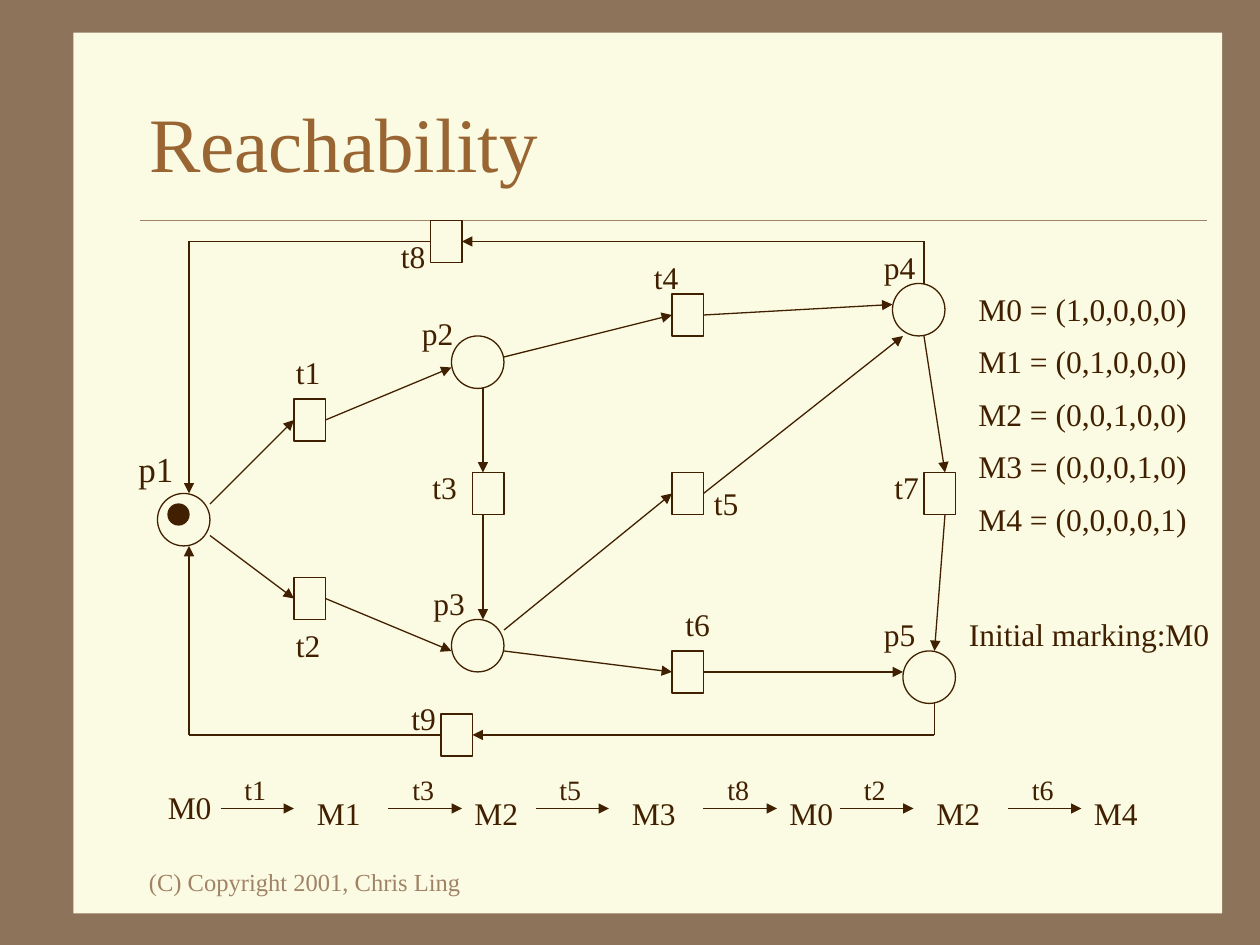
from pptx import Presentation
from pptx.dml.color import RGBColor
from pptx.enum.shapes import MSO_CONNECTOR, MSO_SHAPE
from pptx.enum.text import MSO_ANCHOR, MSO_AUTO_SIZE, PP_ALIGN
from pptx.oxml.ns import qn
from pptx.util import Pt
from lxml.etree import SubElement

PX = 7620  # 120 px to the inch
FONT = "Times New Roman"
PAPER, INK, TAN = "FBFAE2", "402000", "A08366"
rgb = RGBColor.from_string

prs = Presentation()
prs.slide_width, prs.slide_height = 1200 * PX, 900 * PX
s = prs.slides.add_slide(prs.slide_layouts[5])
s.background.fill.solid()
s.background.fill.fore_color.rgb = rgb("8C735A")


def add_text(text, x, y, w, h=48, size=18, color=INK, sp=None):
    """Write text in a new text box, or in the placeholder given as sp."""
    sp = sp or s.shapes.add_textbox(0, 0, 0, 0)
    sp.left, sp.top, sp.width, sp.height = x * PX, y * PX, w * PX, h * PX
    tf = sp.text_frame
    tf.word_wrap = sp.is_placeholder
    tf.auto_size = MSO_AUTO_SIZE.NONE
    p = tf.paragraphs[0]
    p.alignment = PP_ALIGN.LEFT
    r = p.add_run()
    r.text = text
    r.font.name, r.font.size = FONT, Pt(size)
    r.font.color.rgb = rgb(color)
    return tf


def add_line(x1, y1, x2, y2, arrow=True, color=INK, width=0.75):
    """Draw a straight line, with an arrowhead at its end if asked."""
    c = s.shapes.add_connector(MSO_CONNECTOR.STRAIGHT,
                               x1 * PX, y1 * PX, x2 * PX, y2 * PX)
    c.line.color.rgb = rgb(color)
    c.line.width = Pt(width)
    if arrow:
        SubElement(c.line._ln, qn("a:tailEnd"), type="triangle")
    SubElement(c._element.spPr, qn("a:effectLst"))


# Paper panel, rule, title and footer
panel = s.shapes.add_shape(MSO_SHAPE.RECTANGLE,
                           70 * PX, 31 * PX, 1094 * PX, 839 * PX)
panel.shadow.inherit = False
panel.fill.solid()
panel.fill.fore_color.rgb = rgb(PAPER)
panel.line.fill.background()
add_line(133, 210, 1150, 210, arrow=False, color=TAN, width=0.25)

title = s.shapes.title
s.shapes._spTree.append(title._element)  # bring in front of the panel
tf = add_text("Reachability", 130, 60, 1020, 150, size=44, color="996633",
              sp=title)
tf.vertical_anchor = MSO_ANCHOR.MIDDLE
add_text("(C) Copyright 2001, Chris Ling", 130, 820, 330, 40, size=14,
         color=TAN)

# Places, transitions and the token: x, y, width, height
places = [(150, 470), (430, 320), (430, 590), (850, 270), (860, 620)]
transitions = [(280, 380), (280, 550), (450, 450), (640, 280), (640, 450),
               (640, 620), (880, 450), (410, 210), (420, 680)]
nodes = [(MSO_SHAPE.OVAL, x, y, 50, 50) for x, y in places]
nodes += [(MSO_SHAPE.RECTANGLE, x, y, 30, 40) for x, y in transitions]
token = (MSO_SHAPE.OVAL, 160, 480, 20, 20)
for kind, x, y, w, h in nodes + [token]:
    sp = s.shapes.add_shape(kind, x * PX, y * PX, w * PX, h * PX)
    sp.shadow.inherit = False
    sp.line.color.rgb = rgb(INK)
    sp.line.width = Pt(0.75)
    if w == 20:
        sp.fill.solid()
        sp.fill.fore_color.rgb = rgb(INK)
    else:
        sp.fill.background()

# Arcs of the net
arcs = [
    (200, 480, 280, 400), (200, 510, 280, 570),    # p1 to t1, t2
    (310, 400, 430, 350), (310, 570, 430, 620),    # t1 to p2, t2 to p3
    (480, 340, 640, 300), (670, 300, 850, 290),    # p2 to t4 to p4
    (460, 370, 460, 450), (460, 490, 460, 590),    # p2 to t3 to p3
    (480, 600, 640, 470), (670, 470, 860, 320),    # p3 to t5 to p4
    (480, 620, 640, 640), (670, 640, 860, 640),    # p3 to t6 to p5
    (880, 320, 900, 450), (900, 490, 890, 620),    # p4 to t7 to p5
    (890, 700, 450, 700), (180, 700, 180, 520),    # p5 to t9 to p1
    (880, 230, 440, 230), (180, 230, 180, 470),    # p4 to t8 to p1
]
for arc in arcs:
    add_line(*arc)
for stub in [(890, 670, 890, 700), (420, 700, 180, 700),
             (880, 270, 880, 230), (410, 230, 180, 230)]:
    add_line(*stub, arrow=False)

# Node labels
add_text("p1", 120, 420, 58, 53, size=20)
for name, x, y in [("p2", 390, 293), ("p3", 401, 550), ("p4", 830, 230),
                   ("p5", 830, 580)]:
    add_text(name, x, y, 54)
for name, x, y in [("t1", 270, 330), ("t2", 270, 590), ("t3", 400, 440),
                   ("t4", 611, 240), ("t5", 668, 455), ("t6", 641, 570),
                   ("t7", 840, 440), ("t8", 370, 220), ("t9", 380, 660)]:
    add_text(name, x, y, 47)

# Markings: a single token in each place in turn
for i in range(5):
    marks = ",".join("1" if j == i else "0" for j in range(5))
    add_text(f"M{i} = ({marks})", 920, 270 + 50 * i, 222)
add_text("Initial marking:M0", 911, 580, 253)

# Firing sequence
add_text("M0", 148, 745, 65)
for step, arrow_x, marking, x in [
        ("t1", 210, "M1", 290), ("t3", 370, "M2", 440),
        ("t5", 510, "M3", 590), ("t8", 670, "M0", 740),
        ("t2", 800, "M2", 880), ("t6", 960, "M4", 1030)]:
    add_line(arrow_x, 770, arrow_x + 70, 770)
    add_text(step, arrow_x + 11, 730, 44, 44, size=16)
    add_text(marking, x, 750, 65)

prs.save("out.pptx")
